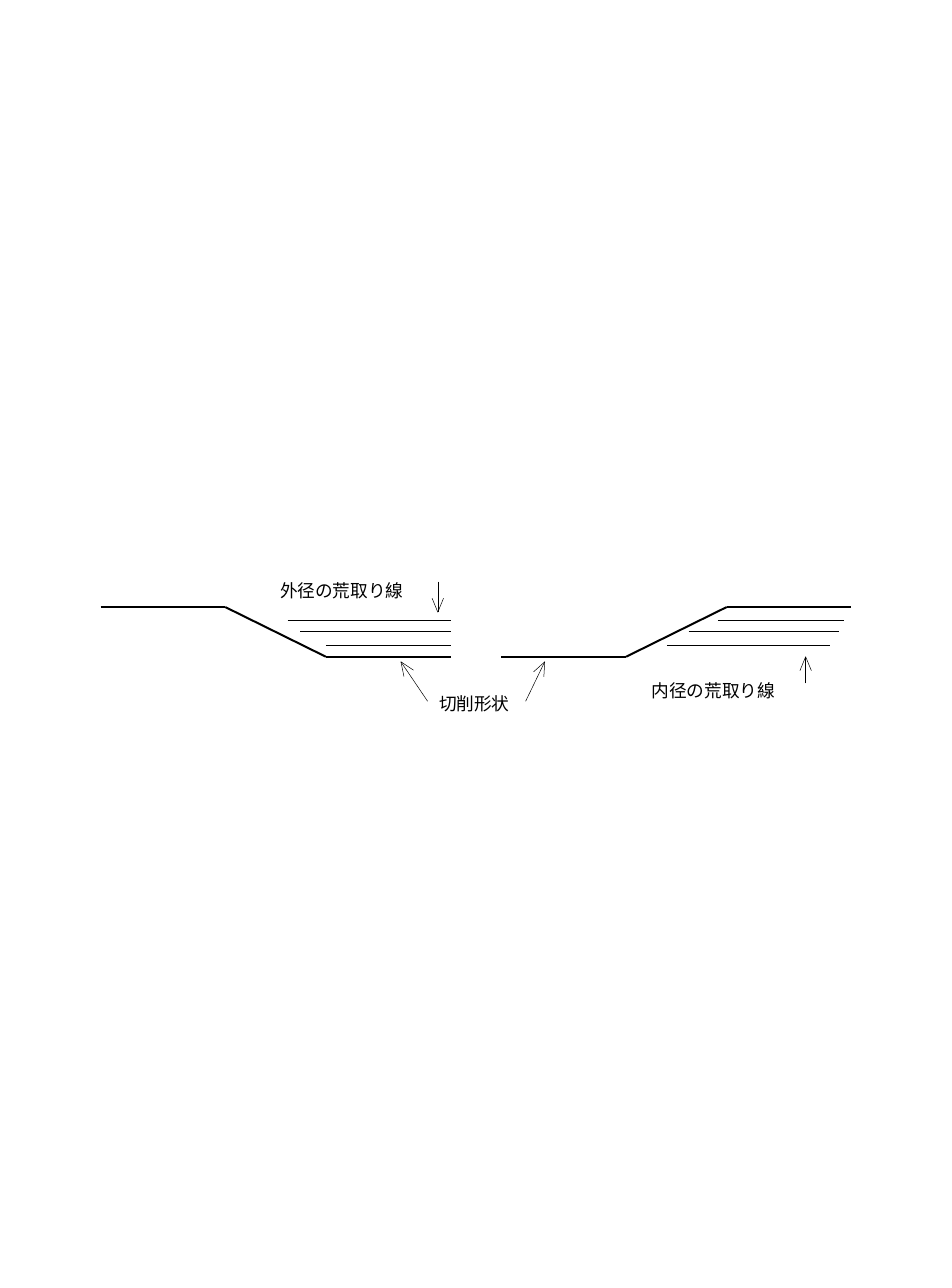
from itertools import pairwise
from math import hypot

from lxml.etree import SubElement
from pptx import Presentation
from pptx.dml.color import RGBColor
from pptx.enum.shapes import MSO_CONNECTOR
from pptx.enum.text import MSO_ANCHOR, MSO_AUTO_SIZE
from pptx.oxml.ns import qn
from pptx.util import Inches, Pt

COLORS = {"ink": "000000"}
FONT = "Noto Sans CJK JP"
FRAME_FORMAT = {
    "margin_left": 0, "margin_top": 0, "margin_right": 0, "margin_bottom": 0,
    "word_wrap": False, "auto_size": MSO_AUTO_SIZE.SHAPE_TO_FIT_TEXT,
    "vertical_anchor": MSO_ANCHOR.TOP,
}
FONT_FORMAT = {"name": FONT, "size": Pt(10)}
THIN, THICK = 0.28, 1.13
HEAD_LENGTH, HEAD_HALF_WIDTH = 0.11, 0.045


class Drawing:
    """Draws lines, arrows and labels on the current slide in one style."""

    def __init__(self, slide):
        self.slide = slide
        self.ink = RGBColor.from_string(COLORS["ink"])

    def stroke(self, shape, weight):
        shape.line.color.rgb = self.ink
        shape.line.width = Pt(weight)

    def line(self, start, end, weight=THIN, shapes=None):
        shapes = shapes or self.slide.shapes
        points = [Inches(value) for value in (*start, *end)]
        connector = shapes.add_connector(MSO_CONNECTOR.STRAIGHT, *points)
        self.stroke(connector, weight)
        SubElement(connector._element.spPr, qn("a:effectLst"))

    def profile(self, points):
        for start, end in pairwise(points):
            self.line(start, end, THICK)

    def arrow(self, tail, tip):
        shapes = self.slide.shapes.add_group_shape().shapes
        self.line(tail, tip, shapes=shapes)
        length = hypot(tail[0] - tip[0], tail[1] - tip[1])
        back_x = (tail[0] - tip[0]) / length
        back_y = (tail[1] - tip[1]) / length
        left, right = [
            (tip[0] + back_x * HEAD_LENGTH + back_y * side,
             tip[1] + back_y * HEAD_LENGTH - back_x * side)
            for side in (HEAD_HALF_WIDTH, -HEAD_HALF_WIDTH)
        ]
        start, *rest = [(Inches(x), Inches(y)) for x, y in (left, tip, right)]
        builder = shapes.build_freeform(*start)
        builder.add_line_segments(rest, close=False)
        head = builder.convert_to_shape()
        head.shadow.inherit = False
        head.fill.background()
        self.stroke(head, THIN)

    def label(self, text, left, top, width, spacing):
        box = self.slide.shapes.add_textbox(
            Inches(left), Inches(top), Inches(width), Inches(0.2))
        for name, value in FRAME_FORMAT.items():
            setattr(box.text_frame, name, value)
        paragraph = box.text_frame.paragraphs[0]
        paragraph.line_spacing = Pt(spacing)
        run = paragraph.add_run()
        run.text = text
        for name, value in FONT_FORMAT.items():
            setattr(run.font, name, value)
        run.font.color.rgb = self.ink
        SubElement(run.font._element, qn("a:ea"), typeface=FONT)


def main():
    presentation = Presentation()
    presentation.slide_width = Inches(7.48)
    presentation.slide_height = Inches(10.12)
    drawing = Drawing(presentation.slides.add_slide(presentation.slide_layouts[6]))

    high, low = 4.77, 5.16
    drawing.profile([(0.79, high), (1.77, high), (2.56, low), (3.54, low)])
    drawing.profile([(3.94, low), (4.92, low), (5.71, high), (6.69, high)])

    roughing_passes = {
        4.87: [(2.26, 3.54), (5.64, 6.63)],
        4.96: [(2.36, 3.54), (5.41, 6.59)],
        5.07: [(2.56, 3.54), (5.24, 6.52)],
    }
    for y, spans in roughing_passes.items():
        for left, right in spans:
            drawing.line((left, y), (right, y))

    drawing.label("外径の荒取り線", 2.2, 4.47, 1.05, 18)
    drawing.label("内径の荒取り線", 5.12, 5.26, 1.05, 18)
    drawing.label("切削形状", 3.45, 5.47, 0.6, 10.1)

    for tail, tip in [
        ((3.44, 4.57), (3.44, 4.81)),
        ((6.33, 5.37), (6.33, 5.16)),
        ((3.36, 5.51), (3.15, 5.2)),
        ((4.13, 5.51), (4.28, 5.2)),
    ]:
        drawing.arrow(tail, tip)

    presentation.save("out.pptx")


if __name__ == "__main__":
    main()
